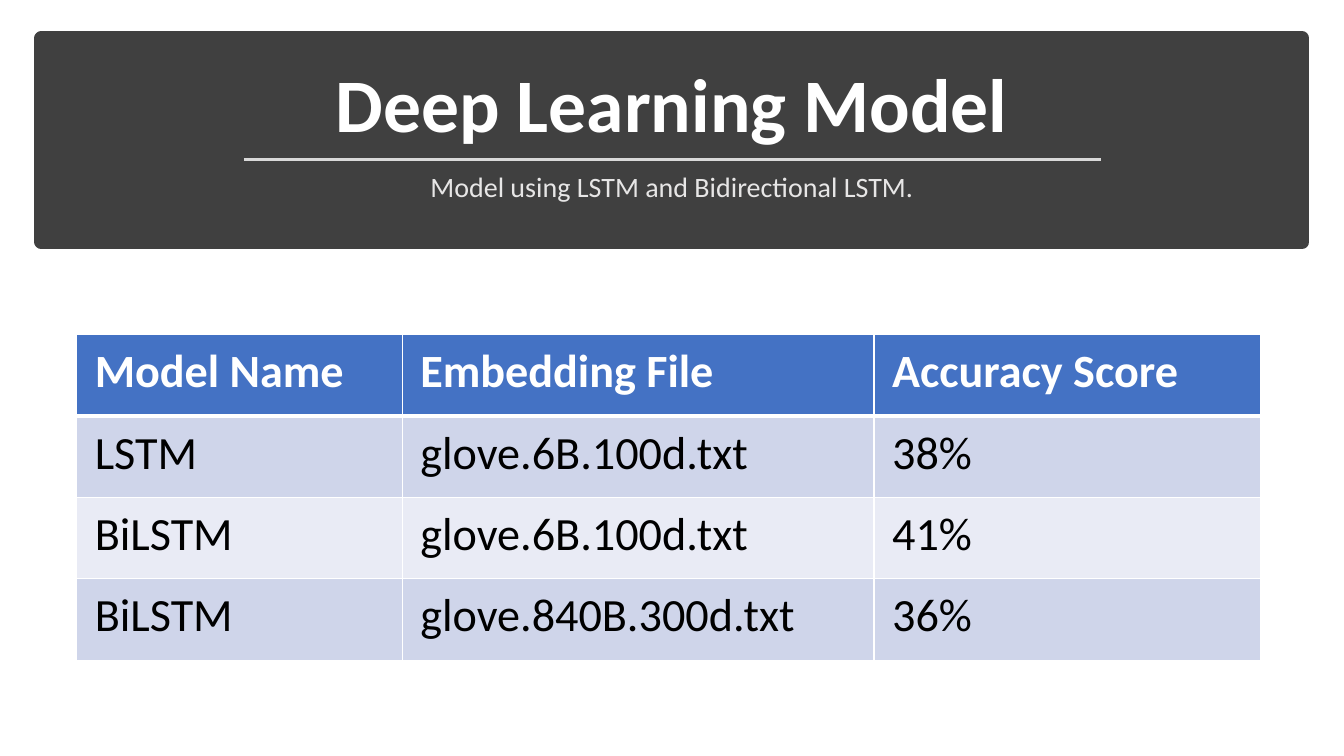
from lxml import etree
from pptx import Presentation, util as u
from pptx.dml import color
from pptx.enum import shapes, text
from pptx.oxml import ns

FONT = "Calibri"
WHITE, DARK, BLACK = "FFFFFF", "404040", "000000"
HEADER_FILL, BAND_FILLS = "4472C4", ("CFD5EA", "E9EBF5")
ROWS = (
    ("Model Name", "Embedding File", "Accuracy Score"),
    ("LSTM", "glove.6B.100d.txt", "38%"),
    ("BiLSTM", "glove.6B.100d.txt", "41%"),
    ("BiLSTM", "glove.840B.300d.txt", "36%"),
)
COLUMN_WIDTHS = (232.6, 337, 276.4)


def paint(target, hex_color):
    """Give a fill or a line a solid colour."""
    fill = getattr(target, "fill", target)
    fill.solid()
    fill.fore_color.rgb = color.RGBColor.from_string(hex_color)


def place(box, left, top, width, height):
    box.left, box.top = u.Pt(left), u.Pt(top)
    box.width, box.height = u.Pt(width), u.Pt(height)


def write(frame, words, size, hex_color, bold=False, align=None, spacing=None):
    frame.text = words
    frame.word_wrap = True
    para = frame.paragraphs[0]
    para.alignment, para.line_spacing = align, spacing
    font = para.runs[0].font
    font.name, font.size, font.bold = FONT, u.Pt(size), bold
    paint(font, hex_color)


def add_border(cell, side, width):
    border = etree.SubElement(cell._tc.get_or_add_tcPr(), ns.qn("a:ln" + side),
                              w=str(u.Pt(width)))
    fill = etree.SubElement(border, ns.qn("a:solidFill"))
    etree.SubElement(fill, ns.qn("a:srgbClr"), val=WHITE)


def add_banner(page, left, top, width, height):
    # Dark panel, sent behind the title
    panel = page.shapes.add_shape(shapes.MSO_SHAPE.RECTANGLE, 0, 0, 0, 0)
    place(panel, left, top, width, height)
    panel.shadow.inherit = False
    paint(panel, DARK)
    paint(panel.line, DARK)
    panel.line.width = u.Pt(10)
    title = page.shapes.title
    title._element.addprevious(panel._element)

    # Title
    center = text.PP_ALIGN.CENTER
    place(title, left + 12, top + 9.3, width - 24, 73.4)
    write(title.text_frame, "Deep Learning Model", 54, WHITE, True, center, 0.9)
    title.text_frame.vertical_anchor = text.MSO_ANCHOR.BOTTOM
    title.text_frame.auto_size = text.MSO_AUTO_SIZE.NONE

    # Subtitle
    subtitle = page.shapes.add_textbox(0, 0, 0, 0)
    place(subtitle, left + 90.5, top + 92.8, 720, 33)
    write(subtitle.text_frame, "Model using LSTM and Bidirectional LSTM.",
          20, "E7E6E6", False, center, 0.9)

    # Rule between title and subtitle
    rule_y = u.Pt(top + 86.4)
    rule = page.shapes.add_connector(
        shapes.MSO_CONNECTOR.STRAIGHT,
        u.Pt(left + 144.7), rule_y, u.Pt(left + 756.7), rule_y)
    paint(rule.line, "D9D9D9")
    rule.line.width = u.Pt(1.75)
    etree.SubElement(rule._element.spPr, ns.qn("a:effectLst"))


def add_scores(page, left, top, width, height):
    frame = page.shapes.add_table(len(ROWS), len(COLUMN_WIDTHS), u.Pt(left),
                                  u.Pt(top), u.Pt(width), u.Pt(height))
    table = frame.table
    for column, column_width in zip(table.columns, COLUMN_WIDTHS):
        column.width = u.Pt(column_width)
    for r, values in enumerate(ROWS):
        table.rows[r].height = u.Pt(height / len(ROWS))
        header = r == 0
        for c, value in enumerate(values):
            cell = table.cell(r, c)
            cell.margin_left = cell.margin_right = u.Pt(13)
            cell.margin_top = cell.margin_bottom = u.Pt(6.5)
            # Thick line under the header, thin lines elsewhere
            for side, line in (("L", 1), ("R", 1), ("T", 3 if r == 1 else 1),
                               ("B", 3 if header else 1)):
                add_border(cell, side, line)
            paint(cell, HEADER_FILL if header else BAND_FILLS[(r - 1) % 2])
            write(cell.text_frame, value, 33, WHITE if header else BLACK, header)


def main():
    deck = Presentation()
    deck.slide_width, deck.slide_height = u.Pt(960), u.Pt(540)
    page = deck.slides.add_slide(deck.slide_layouts.get_by_name("Title Only"))
    paint(page.background, WHITE)
    add_banner(page, 29.5, 27.4, 900.7, 145.4)
    add_scores(page, 54.7, 239, sum(COLUMN_WIDTHS), 232.6)
    deck.save("out.pptx")


if __name__ == "__main__":
    main()
